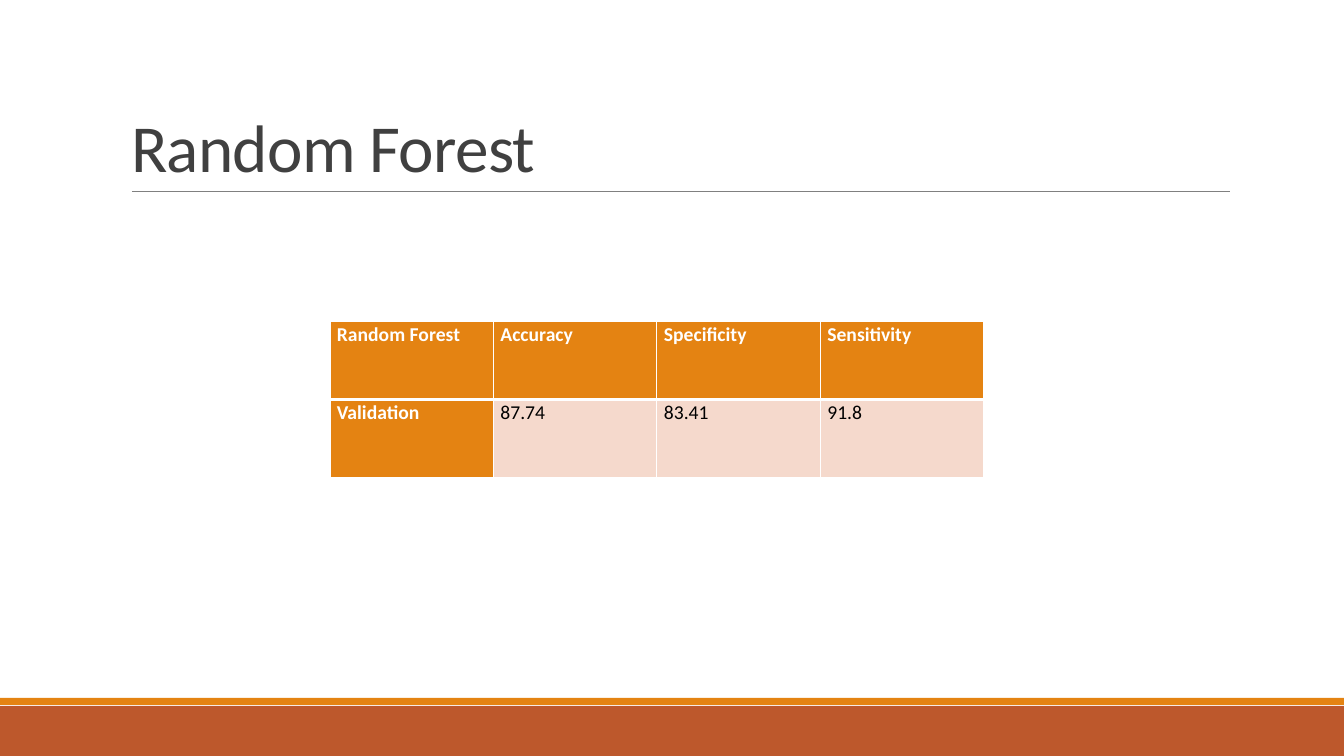
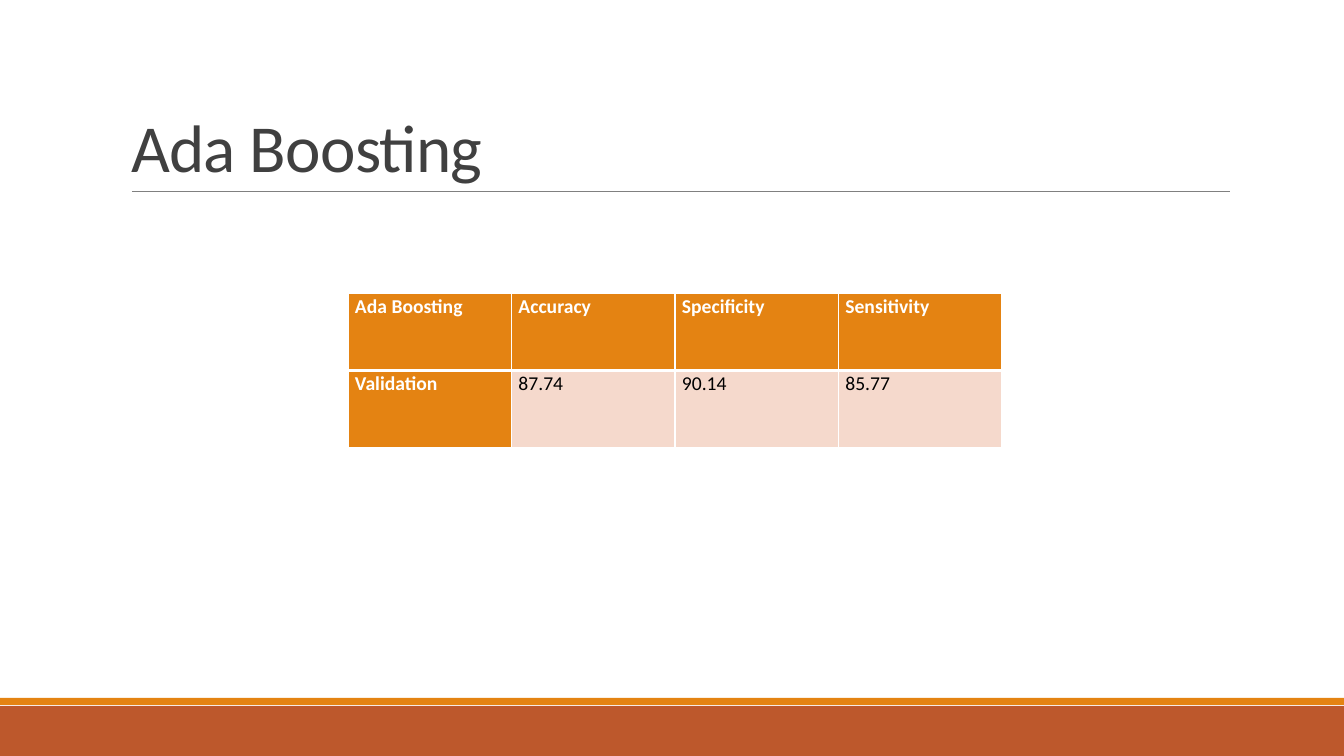
from dataclasses import dataclass

from lxml.etree import SubElement
from pptx import Presentation
from pptx.dml.color import RGBColor
from pptx.enum.shapes import MSO_CONNECTOR, MSO_SHAPE
from pptx.enum.text import MSO_ANCHOR, MSO_AUTO_SIZE, PP_ALIGN
from pptx.oxml.ns import qn
from pptx.slide import Slide
from pptx.table import _Cell
from pptx.text.text import _Paragraph
from pptx.util import Emu, Pt

EMU_PER_PX = 12192000 / 1344
SLIDE_W, SLIDE_H = 1344, 756


@dataclass(frozen=True)
class Theme:
    font: str = "Calibri"
    title_size: int = 48
    cell_size: int = 14
    title: str = "404040"
    rule: str = "808080"
    accent: str = "E48312"
    footer: str = "BD582C"
    body_fill: str = "F5D9CC"
    body_text: str = "000000"
    white: str = "FFFFFF"


@dataclass(frozen=True)
class Band:
    top: int
    height: int
    color: str


@dataclass(frozen=True)
class Result:
    model: str
    scores: tuple[str, str, str]
    left: int
    top: int
    height: int


THEME = Theme()
BANDS = (Band(706, 50, THEME.footer), Band(698, 7, THEME.accent))
METRICS = ("Accuracy", "Specificity", "Sensitivity")
TABLE_W = 654
RESULTS = (
    Result("Random Forest", ("87.74", "83.41", "91.8"), 330, 321, 157),
    Result("Ada Boosting", ("87.74", "90.14", "85.77"), 348, 293, 155),
)


def px(n: int) -> Emu:
    return Emu(round(n * EMU_PER_PX))


def rgb(color: str) -> RGBColor:
    return RGBColor.from_string(color)


def add_run(p: _Paragraph, text: str, size: int, color: str,
            bold: bool = False, spacing: int = 0) -> None:
    r = p.add_run()
    r.text = text
    r.font.name = THEME.font
    r.font.size = Pt(size)
    r.font.bold = bold
    r.font.color.rgb = rgb(color)
    if spacing:
        r.font._element.set("spc", str(spacing))


def add_frame(s: Slide) -> None:
    # Footer bands
    for band in BANDS:
        sp = s.shapes.add_shape(MSO_SHAPE.RECTANGLE, 0, px(band.top),
                                px(SLIDE_W), px(band.height))
        sp.shadow.inherit = False
        sp.fill.solid()
        sp.fill.fore_color.rgb = rgb(band.color)
        sp.line.fill.background()
    # Rule under the title
    rule = s.shapes.add_connector(MSO_CONNECTOR.STRAIGHT,
                                  px(132), px(191), px(1230), px(191))
    rule.line.color.rgb = rgb(THEME.rule)
    rule.line.width = Pt(0.5)
    SubElement(rule._element.spPr, qn("a:effectLst"))


def set_title(s: Slide, text: str) -> None:
    sp = s.shapes.title
    sp.left, sp.top, sp.width, sp.height = px(121), px(31), px(1109), px(160)
    tf = sp.text_frame
    tf.auto_size = MSO_AUTO_SIZE.NONE
    tf.word_wrap = True
    tf.vertical_anchor = MSO_ANCHOR.BOTTOM
    p = tf.paragraphs[0]
    p.alignment = PP_ALIGN.LEFT
    p.line_spacing = 0.85
    add_run(p, text, THEME.title_size, THEME.title, spacing=-50)


def set_borders(cell: _Cell, top: int, bottom: int) -> None:
    tc_pr = cell._tc.get_or_add_tcPr()
    for side, width in (("L", 1), ("R", 1), ("T", top), ("B", bottom)):
        ln = SubElement(tc_pr, qn(f"a:ln{side}"), w=str(Pt(width)))
        fill = SubElement(ln, qn("a:solidFill"))
        SubElement(fill, qn("a:srgbClr"), val=THEME.white)


def format_cell(cell: _Cell, text: str, is_header: bool, is_label: bool) -> None:
    cell.margin_left = cell.margin_right = px(7)
    cell.margin_top = cell.margin_bottom = 0
    # The edge between header and body is thick
    set_borders(cell, *((1, 3) if is_header else (3, 1)))
    cell.fill.solid()
    cell.fill.fore_color.rgb = rgb(THEME.accent if is_label else THEME.body_fill)
    p = cell.text_frame.paragraphs[0]
    p.line_spacing = 1.07
    p.space_after = Pt(8)
    add_run(p, text, THEME.cell_size,
            THEME.white if is_label else THEME.body_text, bold=is_label)


def add_result_table(s: Slide, result: Result) -> None:
    rows = ((result.model, *METRICS), ("Validation", *result.scores))
    table = s.shapes.add_table(len(rows), len(rows[0]), px(result.left), px(result.top),
                               px(TABLE_W), px(result.height)).table
    table.first_col = True
    table.horz_banding = False
    for i, row in enumerate(rows):
        for j, text in enumerate(row):
            format_cell(table.cell(i, j), text, i == 0, i == 0 or j == 0)


def main() -> None:
    prs = Presentation()
    prs.slide_width, prs.slide_height = px(SLIDE_W), px(SLIDE_H)
    title_only = prs.slide_layouts[5]
    for result in RESULTS:
        s = prs.slides.add_slide(title_only)
        add_frame(s)
        set_title(s, result.model)
        add_result_table(s, result)
    prs.save("out.pptx")


if __name__ == "__main__":
    main()
